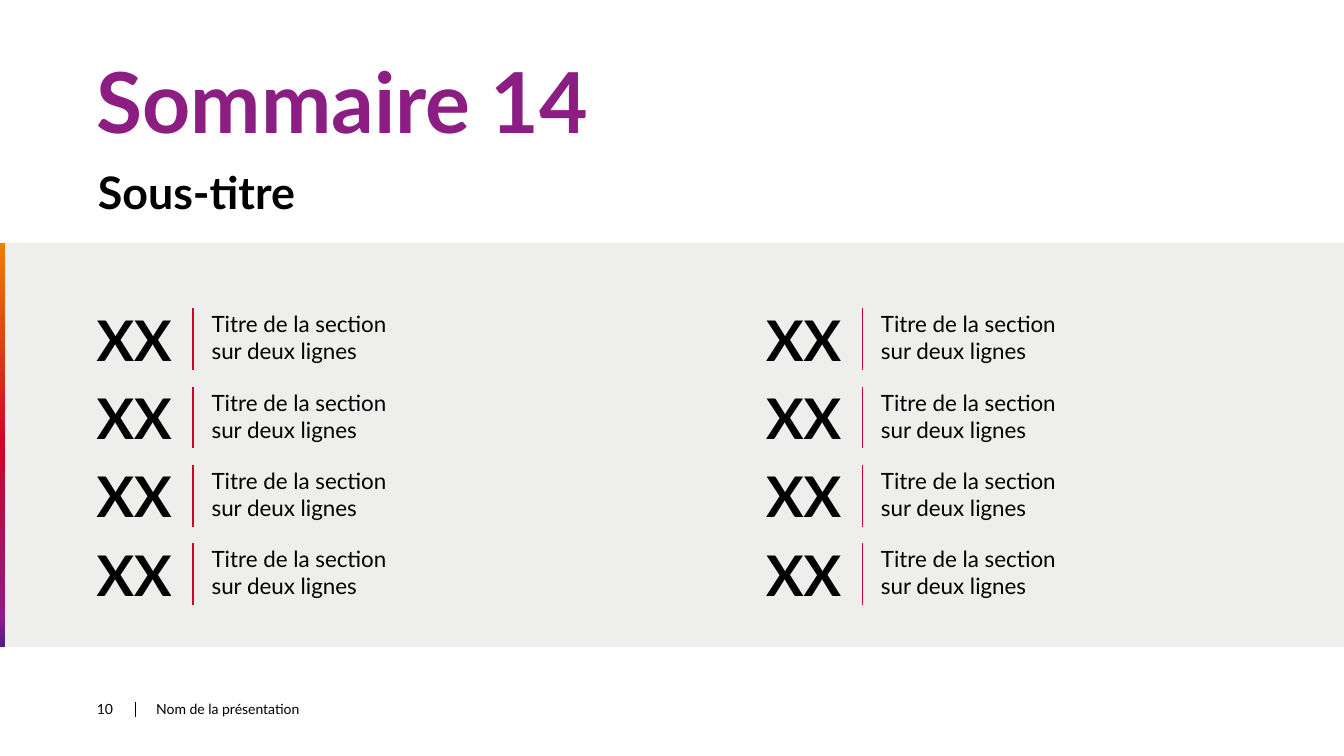
from lxml.etree import SubElement
from pptx import Presentation
from pptx.dml.color import RGBColor
from pptx.enum.shapes import MSO_CONNECTOR, MSO_SHAPE
from pptx.enum.text import MSO_ANCHOR, PP_ALIGN
from pptx.oxml import parse_xml
from pptx.oxml.ns import nsdecls, qn
from pptx.util import Inches, Pt

# The slide is a grid of 160 columns by 90 rows of square cells
COLS, ROWS = 160, 90
CELL = Inches(1) / 12

FONT = "Lato"
BLACK = RGBColor(0x00, 0x00, 0x00)
GREY = RGBColor(0xEE, 0xEE, 0xED)
RED = RGBColor(0xCF, 0x02, 0x2B)
PURPLE = RGBColor(0x8C, 0x1D, 0x82)
ORANGE = RGBColor(0xF0, 0x7D, 0x00)
VIOLET = RGBColor(0x4D, 0x1D, 0x82)

STRIPE_STOPS = [(0, ORANGE), (50, RED), (93, PURPLE), (100, VIOLET)]
SECTIONS = [("XX", "Titre de la section\vsur deux lignes")] * 8
SECTION_ROWS = 4


def cells(*lengths):
    return [round(n * CELL) for n in lengths]


def add_text(s, box, text, size, color=BLACK, bold=False, spacing=None,
             after=0, anchor=MSO_ANCHOR.TOP):
    tf = s.shapes.add_textbox(*cells(*box)).text_frame
    tf.word_wrap = True
    tf.vertical_anchor = anchor
    tf.margin_left = tf.margin_right = tf.margin_top = tf.margin_bottom = 0
    tf.text = text
    p = tf.paragraphs[0]
    p.alignment = PP_ALIGN.LEFT
    p.line_spacing = spacing
    p.space_after = Pt(after)
    for r in p.runs:
        r.font.name = FONT
        r.font.size = Pt(size)
        r.font.bold = bold
        r.font.color.rgb = color


def add_rule(s, x, y, height, color, width):
    line = s.shapes.add_connector(MSO_CONNECTOR.STRAIGHT,
                                  *cells(x, y, x, y + height))
    line.line.color.rgb = color
    line.line.width = Pt(width)
    SubElement(line._element.spPr, qn("a:effectLst"))


def add_rect(s, box):
    sp = s.shapes.add_shape(MSO_SHAPE.RECTANGLE, *cells(*box))
    sp.shadow.inherit = False
    sp.line.fill.background()
    return sp


def add_band(s, box):
    """Grey band with a gradient stripe down its left edge."""
    x, y, _, height = box
    band = add_rect(s, box)
    band.fill.solid()
    band.fill.fore_color.rgb = GREY

    stripe = add_rect(s, (x, y, 0.6, height))
    stops = "".join(
        f'<a:gs pos="{pos * 1000}"><a:srgbClr val="{color}"/></a:gs>'
        for pos, color in STRIPE_STOPS)
    gradient = parse_xml(
        f'<a:gradFill {nsdecls("a")} rotWithShape="1"><a:gsLst>{stops}'
        '</a:gsLst><a:lin ang="5400000" scaled="0"/></a:gradFill>')
    stripe._element.spPr.find(qn("a:prstGeom")).addnext(gradient)


def add_heading(s, box):
    x, y, width, _ = box
    add_text(s, (x, y, width, 10.92), "Sommaire 14", 60, PURPLE, True, 0.9, 5)
    add_text(s, (x + 0.12, y + 13.08, width, 5.76), "Sous-titre", 32,
             bold=True, spacing=0.9, after=5)


def add_section(s, box, number, title):
    """One entry: number, red rule, two-line title."""
    x, y, width, height = box
    add_text(s, (x, y, 10.44, height), number, 40, bold=True, after=5)
    add_rule(s, x + 11.46, y + 0.36, 7.32, RED, 1)
    add_text(s, (x + 13.68, y + 0.6, width - 13.68, 7.32), title, 16, after=5)


def add_sections(s, box):
    """Entries fill the left column first, then the right one."""
    x, y, width, height = box
    column, row = width / 2, height / SECTION_ROWS
    for i, (number, title) in enumerate(SECTIONS):
        col, line = divmod(i, SECTION_ROWS)
        add_section(s, (x + col * column, y + line * row, 57.36, 8.04),
                    number, title)


def add_footer(s, box):
    x, y, width, height = box
    add_text(s, (x, y, 4, height), "10", 10, anchor=MSO_ANCHOR.MIDDLE)
    add_rule(s, x + 4.6, y + 0.12, 1.8, BLACK, 0.5)
    add_text(s, (x + 7.08, y, width - 7.08, height), "Nom de la présentation",
             10, anchor=MSO_ANCHOR.MIDDLE)


def main():
    prs = Presentation()
    prs.slide_width, prs.slide_height = cells(COLS, ROWS)
    s = prs.slides.add_slide(prs.slide_layouts[6])
    left = 11.52
    add_band(s, (0, 28.92, COLS, 48.12))
    add_heading(s, (left, 7.2, 138.96, 18.84))
    add_sections(s, (left, 36.36, 159.36, 37.28))
    add_footer(s, (left, 83.4, 52.92, 2.04))
    prs.save("out.pptx")


if __name__ == "__main__":
    main()
